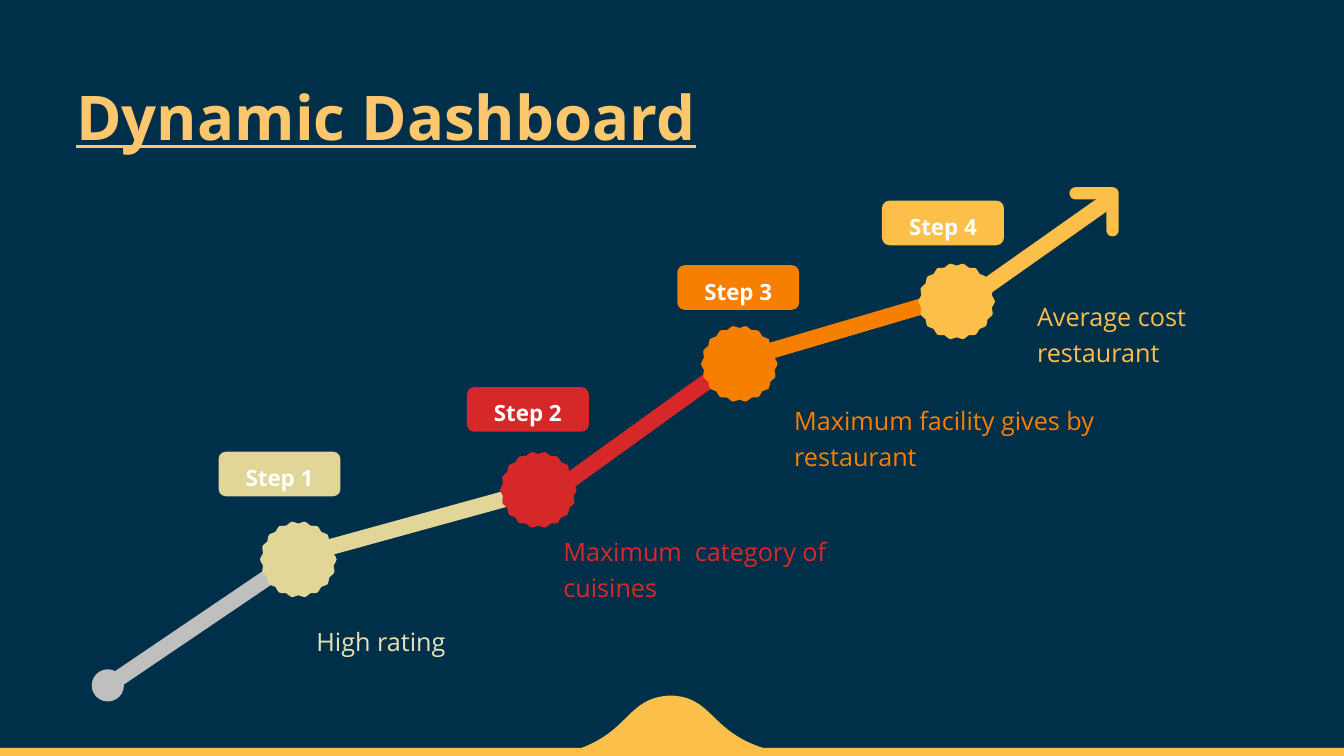
from math import cos, radians, sin

from lxml.etree import SubElement
from pptx import Presentation
from pptx.dml.color import RGBColor
from pptx.enum.shapes import MSO_SHAPE as SHAPE
from pptx.enum.text import MSO_ANCHOR as ANCHOR, MSO_AUTO_SIZE as AUTO, PP_ALIGN as ALIGN
from pptx.oxml.ns import qn
from pptx.util import Pt

COLORS = {
    "navy": "003049", "grey": "BFBFBF", "sand": "E1D597", "cream": "EAE2B7",
    "red": "D62828", "orange": "F77F00", "yellow": "FCBF49", "white": "FFFFFF",
    "title": "FFC76D", "title_edge": "FFD59D",
}
FONT = "Open Sans"
BAR_H = 11.5
BAR_W = 150.5
LABEL_W, LABEL_H = 87.1, 31.9

STEPS = [
    ((213.1, 399.6), "sand", "cream", (-57, -77), (82.5, -25.2), BAR_W, 344.6,
     (5.8, 39.6, 245.5, 31), "High rating"),
    ((384.5, 349.9), "red", "red", (-51, -73.4), (75.2, -44.6), BAR_W, 324.2,
     (10.8, 25.2, 245.5, 59.8), "Maximum  category of cuisines"),
    ((528.1, 259.9), "orange", "orange", (-44.3, -70.5), (71.3, -23.7), BAR_W, 343.6,
     (32.1, 21.6, 245.5, 59.8), "Maximum facility gives by restaurant"),
    ((683.3, 215.3), "yellow", "yellow", (-53.3, -72), (58.3, -36.7), 128.2, 324.8,
     (50.4, -7.9, 191.5, 56.9), "Average cost restaurant"),
]


def rgb(name):
    return RGBColor.from_string(COLORS[name])


def paint(sp, color):
    sp.shadow.inherit = False
    sp.fill.solid()
    sp.fill.fore_color.rgb = rgb(color)
    sp.line.fill.background()
    return sp


def add_shape(slide, kind, x, y, w, h, color):
    return paint(slide.shapes.add_shape(kind, Pt(x), Pt(y), Pt(w), Pt(h)), color)


def add_outline(slide, x, y, start, segments, color):
    points = [(Pt(x + px), Pt(y + py)) for px, py in sum(segments, [start])]
    fb = slide.shapes.build_freeform(*points[0], scale=1.0)
    fb.add_line_segments(points[1:], close=True)
    sp = paint(fb.convert_to_shape(), color)
    lines = iter(list(sp._element.iter(qn("a:lnTo"))))
    for segment in segments:
        parts = [next(lines) for _ in segment]
        if len(parts) == 3:
            parts[0].tag = qn("a:cubicBezTo")
            for part in parts[1:]:
                parts[0].append(part[0])
                part.getparent().remove(part)


def polar(radius, degrees):
    return radius * cos(radians(degrees)), radius * sin(radians(degrees))


def quarter(cx, cy, radius, degrees):
    (ax, ay), (bx, by) = polar(radius, degrees), polar(radius, degrees + 90)
    k = 0.55
    return [(cx + ax + k * bx, cy + ay + k * by), (cx + bx + k * ax, cy + by + k * ay),
            (cx + bx, cy + by)]


def write(sp, text, size, color, bold=False, spacing=None, align=ALIGN.LEFT):
    tf = sp.text_frame
    tf.word_wrap = True
    tf.auto_size = AUTO.SHAPE_TO_FIT_TEXT
    p = tf.paragraphs[0]
    p.alignment = align
    if spacing:
        p.line_spacing = spacing
    r = p.add_run()
    r.text = text
    r.font.name = FONT
    r.font.size = Pt(size)
    r.font.bold = bold
    r.font.color.rgb = rgb(color)
    return r


def add_text(slide, x, y, w, h, *args, **kwargs):
    return write(slide.shapes.add_textbox(Pt(x), Pt(y), Pt(w), Pt(h)), *args, **kwargs)


def add_title(slide, x, y, w, h):
    r = add_text(slide, x, y, w, h, "Dynamic Dashboard", 44, "title", bold=True)
    r.font.underline = True
    fill = r.font.fill
    fill.gradient()
    fill.gradient_angle = 270
    stops = r._r.get_or_add_rPr().find(".//" + qn("a:gsLst"))
    for stop in list(stops):
        stops.remove(stop)
    for pos, color in [(0, "title_edge"), (40, "title"), (50, "title"),
                       (68, "title"), (100, "title_edge")]:
        stop = SubElement(stops, qn("a:gs"), pos=str(pos * 1000))
        SubElement(stop, qn("a:srgbClr"), val=COLORS[color])


def add_bar(slide, cx, cy, length, angle, color):
    sp = add_shape(slide, SHAPE.RECTANGLE, cx - length / 2, cy - BAR_H / 2, length, BAR_H, color)
    sp.rotation = angle


def add_start(slide, x, y, size):
    add_bar(slide, x + 76.7, y - 32.4, BAR_W, 325.9, "grey")
    add_shape(slide, SHAPE.OVAL, x, y, size, size, "grey")


def add_arrowhead(slide, x, y, size, radius=4.4):
    near, far, thick = radius, size - radius, 2 * radius
    segments = [
        [(far, 0)], quarter(far, near, radius, 270),
        [(size, far)], quarter(far, far, radius, 0), quarter(far, far, radius, 90),
        [(size - thick, thick)], [(near, thick)],
        quarter(near, near, radius, 90), quarter(near, near, radius, 180),
    ]
    add_outline(slide, x, y, (near, 0), segments, "yellow")


def add_badge(slide, cx, cy, color, scallops=18, inner=25.6, outer=28.1):
    step = 360 / scallops
    segments = []
    for i in range(scallops):
        middle = i * step
        segments.append([polar(outer, middle + 2), polar(outer, middle - 2),
                         polar(inner, middle + step / 2)])
    add_outline(slide, cx, cy, polar(inner, -step / 2), segments, color)


def add_step(slide, number, center, color, note_color, label, note_box, note):
    cx, cy = center
    sp = add_shape(slide, SHAPE.ROUNDED_RECTANGLE, cx + label[0], cy + label[1],
                   LABEL_W, LABEL_H, color)
    sp.text_frame.vertical_anchor = ANCHOR.TOP
    write(sp, f"Step {number}", 16, "white", bold=True, spacing=1.2, align=ALIGN.CENTER)
    add_badge(slide, cx, cy, color)
    dx, dy, w, h = note_box
    add_text(slide, cx + dx, cy + dy, w, h, note, 18, note_color, spacing=1.2)


def add_trail(slide):
    for (cx, cy), color, _, _, (dx, dy), length, angle, _, _ in reversed(STEPS):
        add_bar(slide, cx + dx, cy + dy, length, angle, color)
    add_start(slide, 65.5, 478.1, 23)
    add_arrowhead(slide, 763.9, 133.7, 35.2)
    for number, (center, color, note_color, label, _, _, _, note_box, note) in enumerate(STEPS, 1):
        add_step(slide, number, center, color, note_color, label, note_box, note)


def add_footer(slide, x, y, w, h):
    add_shape(slide, SHAPE.RECTANGLE, x, y, w, h, "yellow")
    hill = [[(450, -12.9), (448.6, -36), (478.8, -37.4)],
            [(509, -36.7), (506.9, -12.2), (545, 0)]]
    add_outline(slide, x, y, (415.4, 0), hill, "yellow")


def main():
    prs = Presentation()
    prs.slide_width, prs.slide_height = Pt(960), Pt(540)
    slide = prs.slides.add_slide(prs.slide_layouts[6])
    slide.background.fill.solid()
    slide.background.fill.fore_color.rgb = rgb("navy")
    add_trail(slide)
    add_title(slide, 47.5, 52.6, 460.8, 60.5)
    add_footer(slide, 0, 534.2, 960, 5.8)
    prs.save("out.pptx")


if __name__ == "__main__":
    main()
